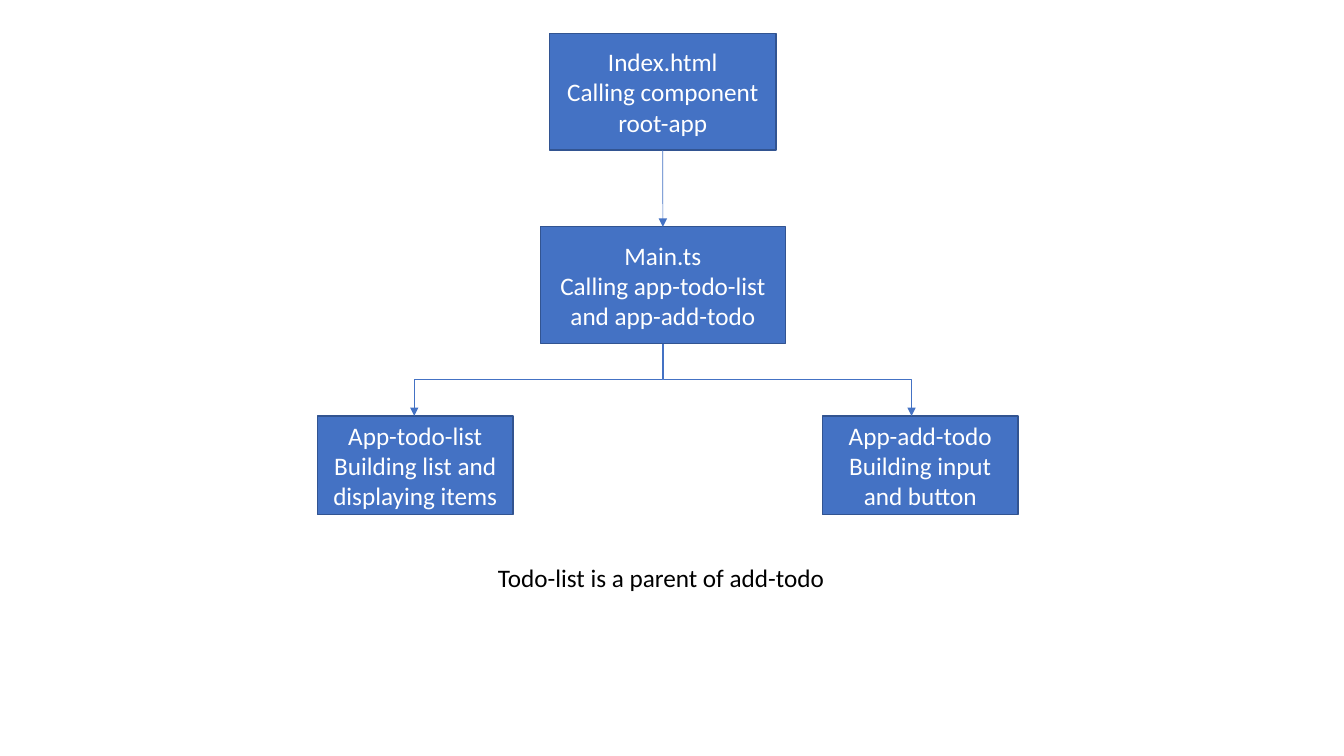
"""Builds a slide showing which component calls which in a todo app."""
from lxml.etree import SubElement
from pptx import Presentation
from pptx.dml.color import RGBColor
from pptx.enum.shapes import MSO_CONNECTOR as LINK, MSO_SHAPE
from pptx.enum.text import MSO_ANCHOR, MSO_AUTO_SIZE, PP_ALIGN
from pptx.oxml.ns import qn
from pptx.util import Pt

COLORS = {"box": "4472C4", "border": "325491", "light": "FFFFFF", "dark": "000000"}
FONT, FONT_SIZE = "Calibri", 18
COMPONENTS = {
    "index": (["Index.html", "Calling component root-app"], (392.4, 23.8, 162, 83.5)),
    "main": (["Main.ts", "Calling app-todo-list and app-add-todo"], (386, 162, 175, 83.5)),
    "list": (["App-todo-list", "Building list and displaying items"], (226.8, 297.1, 139.7, 70.6)),
    "add": (["App-add-todo", "Building input and button"], (587.5, 297.1, 139.7, 70.6)),
}
CAPTION, CAPTION_AT = "Todo-list is a parent of add-todo", (348.5, 398.2, 250.6, 29)
BRANCH_SPAN = 177.2


def color(name):
    return RGBColor.from_string(COLORS[name])


def write(frame, lines, ink, align):
    for index, line in enumerate(lines):
        paragraph = frame.paragraphs[0] if index == 0 else frame.add_paragraph()
        paragraph.alignment = align
        run = paragraph.add_run()
        run.text = line
        run.font.name, run.font.size = FONT, Pt(FONT_SIZE)
        run.font.color.rgb = color(ink)


def add_component(lines, place):
    box = slide.shapes.add_shape(MSO_SHAPE.RECTANGLE, *map(Pt, place))
    box.shadow.inherit = False
    box.fill.solid()
    box.fill.fore_color.rgb = color("box")
    box.line.color.rgb = color("border")
    box.line.width = Pt(1)
    box.text_frame.word_wrap = True
    box.text_frame.vertical_anchor = MSO_ANCHOR.MIDDLE
    write(box.text_frame, lines, "light", PP_ALIGN.CENTER)
    return box


def add_arrow(kind, *ends):
    arrow = slide.shapes.add_connector(kind, *map(Pt, ends))
    arrow.line.color.rgb = color("box")
    arrow.line.width = Pt(0.5)
    SubElement(arrow.line._get_or_add_ln(), qn("a:tailEnd"), type="triangle")
    SubElement(arrow._element.spPr, qn("a:effectLst"))
    return arrow


def add_branch(start_x, top, bottom, side):
    """Draws an elbow that drops, crosses to one side (-1 left, 1 right) and drops again."""
    half_drop, half_span = (bottom - top) / 2, BRANCH_SPAN / 2
    mid_x, mid_y = start_x + side * half_span, (top + bottom) / 2
    branch = add_arrow(LINK.ELBOW, mid_x + side * half_drop, mid_y - half_span,
                       mid_x - side * half_drop, mid_y + half_span)
    degrees = 90 if side < 0 else 270
    branch._element.spPr.find(qn("a:xfrm")).set("rot", str(degrees * 60000))


deck = Presentation()
deck.slide_width, deck.slide_height = Pt(960), Pt(540)
slide = deck.slides.add_slide(deck.slide_layouts[6])

boxes = {name: add_component(*parts) for name, parts in COMPONENTS.items()}

caption = slide.shapes.add_textbox(*map(Pt, CAPTION_AT)).text_frame
caption.word_wrap = False
caption.auto_size = MSO_AUTO_SIZE.SHAPE_TO_FIT_TEXT
write(caption, [CAPTION], "dark", PP_ALIGN.LEFT)

call = add_arrow(LINK.STRAIGHT, 0, 0, 0, 0)
call.begin_connect(boxes["index"], 2)
call.end_connect(boxes["main"], 0)

main_left, main_top, main_width, main_height = COMPONENTS["main"][1]
child_top = COMPONENTS["list"][1][1]
for side in (-1, 1):
    add_branch(main_left + main_width / 2 + side * 0.4, main_top + main_height, child_top, side)

deck.save("out.pptx")
